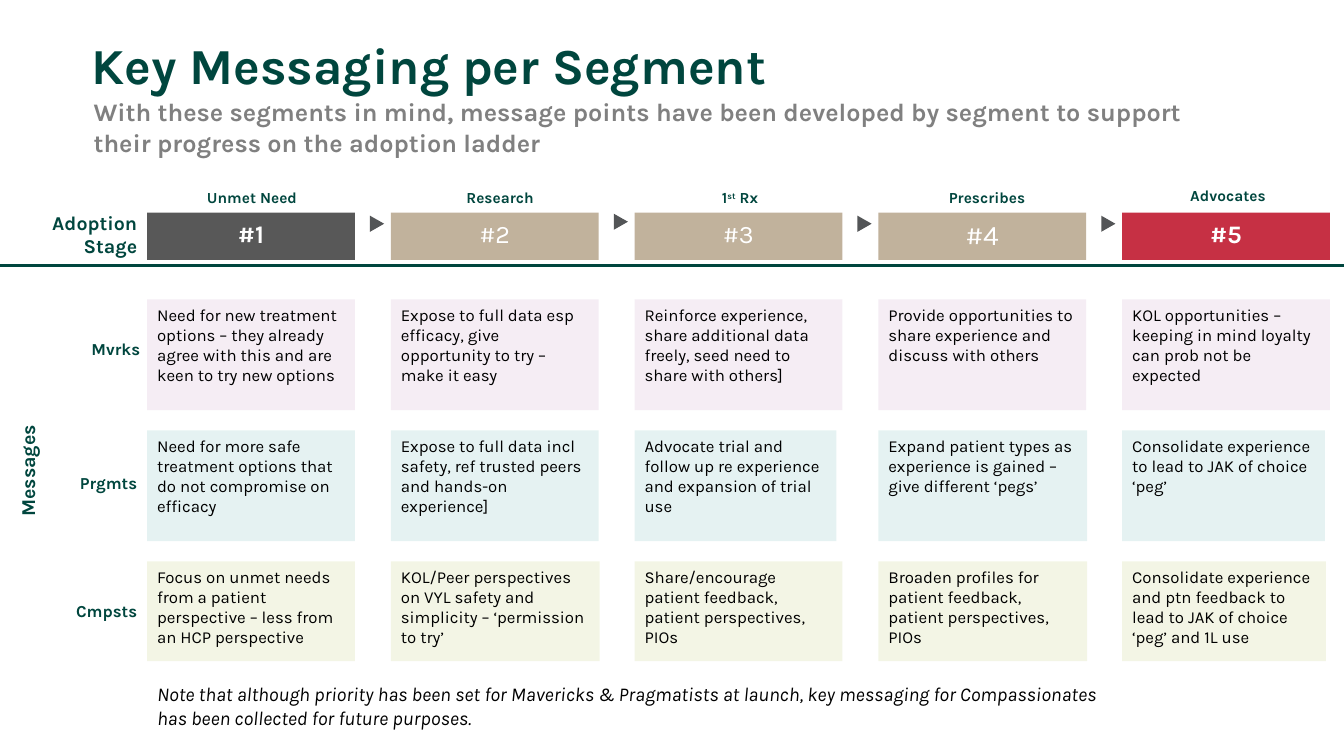
from dataclasses import dataclass

from lxml import etree
from pptx import Presentation
from pptx import util as u
from pptx.dml.color import RGBColor
from pptx.enum import shapes, text
from pptx.oxml.ns import qn
from pptx.shapes.autoshape import Shape
from pptx.slide import Slide
from pptx.text.text import TextFrame

FONT = "Karla"
GREEN, GREY, ARROW = "00463E", "808080", "535557"
DARK, TAN, RED = "585858", "C1B29C", "C63044"
WHITE, BLACK = "FFFFFF", "000000"
LEFT, PITCH, BOX_W = 1.46, 2.4175, 2.06
LEFT_AL, CENTER, RIGHT = text.PP_ALIGN.LEFT, text.PP_ALIGN.CENTER, text.PP_ALIGN.RIGHT
TOP, MIDDLE, BOTTOM = text.MSO_ANCHOR.TOP, text.MSO_ANCHOR.MIDDLE, text.MSO_ANCHOR.BOTTOM

Box = tuple[float, float, float, float]


@dataclass
class Stage:
    heading: tuple[str, ...]
    heading_x: float
    number: str
    color: str
    heading_y: float = 1.82
    size: int = 18
    bold: bool = False
    arrow_y: float = 2.15


@dataclass
class Segment:
    name: str
    name_box: Box
    color: str
    top: float
    height: float
    widths: tuple[float, ...]
    messages: tuple[str, ...]


STAGES = [
    Stage(("Unmet Need",), 1.83, "#1", DARK, bold=True),
    Stage(("Research",), 4.29, "#2", TAN, arrow_y=2.13),
    Stage(("1", "st", " Rx"), 6.67, "#3", TAN),
    Stage(("Prescribes",), 9.12, "#4", TAN, size=20),
    Stage(("Advocates",), 11.51, "#5", RED, heading_y=1.8, bold=True),
]

SEGMENTS = [
    Segment("Mvrks", (0.58, 3.31, 0.91, 0.3), "A15699", 2.97, 1.1, (BOX_W,) * 5, (
        "Need for new treatment options – they already agree with this and are keen to try new options",
        "Expose to full data esp efficacy, give opportunity to try – make it easy",
        "Reinforce experience, share additional data freely, seed need to share with others]",
        "Provide opportunities to share experience and discuss with others",
        "KOL opportunities – keeping in mind loyalty can prob not be expected",
    )),
    Segment("Prgmts", (0.65, 4.64, 0.81, 0.3), "008986", 4.27, 1.1, (2.06, 2.06, 2, 2.07, 2.01), (
        "Need for more safe treatment options that do not compromise on efficacy",
        "Expose to full data incl safety, ref trusted peers and hands-on experience]",
        "Advocate trial and follow up re experience and expansion of trial use",
        "Expand patient types as experience is gained – give different ‘pegs’",
        "Consolidate experience to lead to JAK of choice ‘peg’",
    )),
    Segment("Cmpsts", (0.19, 5.91, 1.27, 0.3), "8CA509", 5.57, 0.99, (2.06, 2.07, 2.06, 2.07, 2.02), (
        "Focus on unmet needs from a patient perspective – less from an HCP perspective",
        "KOL/Peer perspectives on VYL safety and simplicity – ‘permission to try’",
        "Share/encourage patient feedback, patient perspectives, PIOs",
        "Broaden profiles for patient feedback, patient perspectives, PIOs",
        "Consolidate experience and ptn feedback to lead to JAK of choice ‘peg’ and 1L use",
    )),
]


def rgb(color: str) -> RGBColor:
    return RGBColor.from_string(color)


def write(tf: TextFrame, *parts: str, size: float = 12, color: str = BLACK, bold: bool = False,
          italic: bool = False, align: text.PP_ALIGN = LEFT_AL, anchor: text.MSO_ANCHOR = TOP,
          inset_top: float = 0.05, inset_bottom: float = 0.05) -> None:
    tf.word_wrap = True
    tf.vertical_anchor = anchor
    tf.margin_top, tf.margin_bottom = u.Inches(inset_top), u.Inches(inset_bottom)
    p = tf.paragraphs[0]
    p.alignment = align
    for i, part in enumerate(parts):
        r = p.add_run()
        r.text = part
        r.font.name, r.font.size = FONT, u.Pt(size)
        r.font.bold, r.font.italic = bold, italic
        r.font.color.rgb = rgb(color)
        if i == 1:
            r.font._element.set("baseline", "30000")


def add_label(s: Slide, box: Box, *parts: str, rotation: float = 0, **style) -> None:
    sp = s.shapes.add_textbox(*map(u.Inches, box))
    sp.rotation = rotation
    write(sp.text_frame, *parts, **style)


def add_block(s: Slide, kind: shapes.MSO_SHAPE, box: Box, color: str, alpha: int = 100) -> Shape:
    sp = s.shapes.add_shape(kind, *map(u.Inches, box))
    sp.shadow.inherit = False
    sp.line.fill.background()
    sp.fill.solid()
    sp.fill.fore_color.rgb = rgb(color)
    if alpha < 100:
        clr = sp._element.spPr.find(".//" + qn("a:srgbClr"))
        etree.SubElement(clr, qn("a:alpha")).set("val", str(alpha * 1000))
    return sp


def add_rule(s: Slide, y: float, width: float) -> None:
    line = s.shapes.add_connector(shapes.MSO_CONNECTOR.STRAIGHT, 0, u.Inches(y), u.Inches(width), u.Inches(y))
    line.line.color.rgb = rgb(GREEN)
    line.line.width = u.Pt(2.25)
    etree.SubElement(line._element.spPr, qn("a:effectLst"))


def add_stages(s: Slide) -> None:
    for i, stage in enumerate(STAGES):
        x = LEFT + i * PITCH
        sp = add_block(s, shapes.MSO_SHAPE.RECTANGLE, (x, 2.11, BOX_W, 0.47), stage.color)
        write(sp.text_frame, stage.number, size=stage.size, color=WHITE, bold=stage.bold,
              align=CENTER, anchor=MIDDLE, inset_top=0)
        add_label(s, (stage.heading_x, stage.heading_y, 1.34, 0.29), *stage.heading,
                  size=11, color=GREEN, bold=True, align=CENTER)
        if i < len(STAGES) - 1:
            arrow = add_block(s, shapes.MSO_SHAPE.ISOSCELES_TRIANGLE,
                              (x + 2.2, stage.arrow_y, 0.16, 0.14), ARROW)
            arrow.rotation = 90


def add_segments(s: Slide) -> None:
    for segment in SEGMENTS:
        add_label(s, segment.name_box, segment.name, color=GREEN, bold=True, align=RIGHT)
        for i, (width, message) in enumerate(zip(segment.widths, segment.messages)):
            box = (LEFT + i * PITCH, segment.top, width, segment.height)
            sp = add_block(s, shapes.MSO_SHAPE.RECTANGLE, box, segment.color, alpha=10)
            write(sp.text_frame, message)


def main() -> None:
    prs = Presentation()
    prs.slide_width, prs.slide_height = u.Inches(13.33), u.Inches(7.5)
    s = prs.slides.add_slide(prs.slide_layouts[6])
    add_label(s, (0.81, 0.29, 11.62, 0.65), "Key Messaging per Segment", size=36, color=GREEN,
              bold=True, anchor=BOTTOM, inset_top=0.02, inset_bottom=0)
    add_label(s, (0.83, 0.91, 11.48, 0.71),
              "With these segments in mind, message points have been developed by segment "
              "to support their progress on the adoption ladder", size=18, color=GREY, bold=True)
    add_stages(s)
    add_rule(s, 2.63, 13.33)
    add_label(s, (0.05, 2.04, 1.41, 0.57), "Adoption Stage", size=14, color=GREEN, bold=True, align=RIGHT)
    add_label(s, (-0.43, 4.5, 1.41, 0.34), "Messages", rotation=270, size=14, color=GREEN,
              bold=True, align=CENTER)
    add_segments(s)
    add_label(s, (1.46, 6.72, 9.83, 0.57),
              "Note that although priority has been set for Mavericks & Pragmatists at launch, "
              "key messaging for Compassionates has been collected for future purposes.",
              size=14, italic=True)
    prs.save("out.pptx")


if __name__ == "__main__":
    main()
